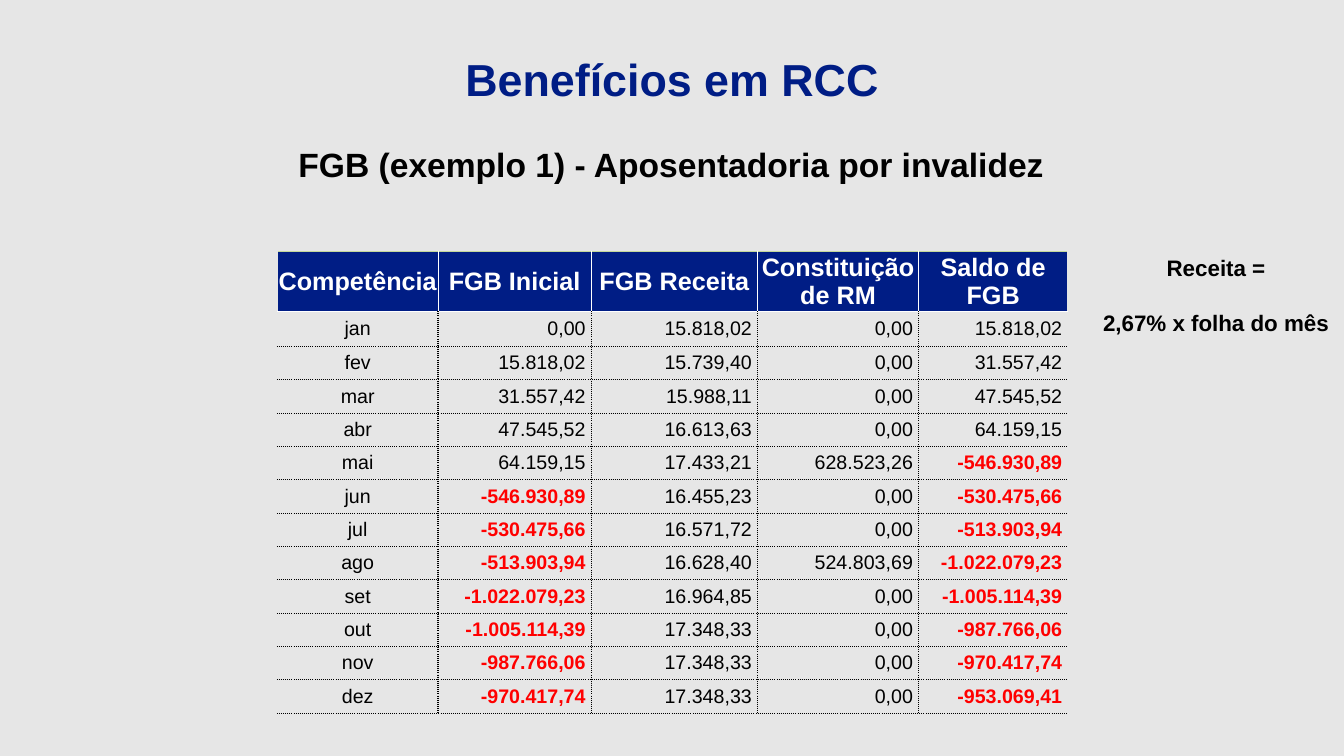
from lxml import etree
from pptx import Presentation
from pptx.dml.color import RGBColor
from pptx.enum.text import MSO_ANCHOR, MSO_AUTO_SIZE, PP_ALIGN
from pptx.oxml.ns import qn
from pptx.util import Cm, Pt

CENTER, RIGHT = PP_ALIGN.CENTER, PP_ALIGN.RIGHT
MIDDLE, TOP = MSO_ANCHOR.MIDDLE, MSO_ANCHOR.TOP
NO_FIT = MSO_AUTO_SIZE.NONE

COLORS = {"background": "E6E6E6", "navy": "001D85", "black": "000000",
          "white": "FFFFFF", "red": "FF0000", "green": "C4D79B"}

TITLE = "Benefícios em RCC"
SUBTITLE = "FGB (exemplo 1) - Aposentadoria por invalidez"
NOTE = ["Receita =", "2,67% x folha do mês"]
HEADER = ["Competência", "FGB Inicial", "FGB Receita", "Constituição de RM", "Saldo de FGB"]
OPENING_BALANCE = "0,00"
MONTHS = [
    ("jan", "15.818,02", "0,00", "15.818,02"),
    ("fev", "15.739,40", "0,00", "31.557,42"),
    ("mar", "15.988,11", "0,00", "47.545,52"),
    ("abr", "16.613,63", "0,00", "64.159,15"),
    ("mai", "17.433,21", "628.523,26", "-546.930,89"),
    ("jun", "16.455,23", "0,00", "-530.475,66"),
    ("jul", "16.571,72", "0,00", "-513.903,94"),
    ("ago", "16.628,40", "524.803,69", "-1.022.079,23"),
    ("set", "16.964,85", "0,00", "-1.005.114,39"),
    ("out", "17.348,33", "0,00", "-987.766,06"),
    ("nov", "17.348,33", "0,00", "-970.417,74"),
    ("dez", "17.348,33", "0,00", "-953.069,41"),
]
COLUMN_WIDTHS = [4.05, 3.86, 4.19, 4.06, 3.76]
HEADER_HEIGHT, FIRST_HEIGHT, ROW_HEIGHT = 1.52, 0.88, 0.84

EDGE = ("background", 1, "solid")
DOTTED = ("black", 1, "sysDot")
WHITE_LINE = ("white", 0.5, "solid")
GREEN_LINE = ("green", 0.5, "solid")


def write(tf, lines, size=14, color="black", bold=False, align=CENTER, gap=0):
    for i, line in enumerate(lines):
        p = tf.paragraphs[0] if i == 0 else tf.add_paragraph()
        p.alignment = align
        p.space_before = Pt(gap if i else 0)
        r = p.add_run()
        r.text = line
        r.font.name = "Arial"
        r.font.size = Pt(size)
        r.font.bold = bold
        r.font.color.rgb = RGBColor.from_string(COLORS[color])


def place(sp, left, top, width, height, anchor=TOP, wrap=True):
    sp.left, sp.top, sp.width, sp.height = Cm(left), Cm(top), Cm(width), Cm(height)
    tf = sp.text_frame
    tf.auto_size = NO_FIT
    tf.word_wrap = wrap
    tf.vertical_anchor = anchor
    return tf


def set_borders(cell, **borders):
    tcPr = cell._tc.get_or_add_tcPr()
    for side in "LRTB":
        color, width, dash = borders[side]
        ln = etree.SubElement(tcPr, qn(f"a:ln{side}"), w=str(Pt(width)))
        fill = etree.SubElement(ln, qn("a:solidFill"))
        etree.SubElement(fill, qn("a:srgbClr"), val=COLORS[color])
        etree.SubElement(ln, qn("a:prstDash"), val=dash)


def fill_table(table, rows):
    last = len(HEADER) - 1
    for i, row in enumerate(rows):
        inner = DOTTED if i else WHITE_LINE
        for j, text in enumerate(row):
            cell = table.cell(i, j)
            cell.margin_left = cell.margin_right = cell.margin_top = cell.margin_bottom = 0
            cell.vertical_anchor = MIDDLE
            set_borders(cell,
                        L=inner if j else EDGE,
                        R=inner if j < last else EDGE,
                        T=(GREEN_LINE, WHITE_LINE)[i] if i < 2 else DOTTED,
                        B=inner)
            if i == 0:
                cell.fill.solid()
                cell.fill.fore_color.rgb = RGBColor.from_string(COLORS["navy"])
                write(cell.text_frame, [text], size=18, color="white", bold=True)
                continue
            cell.fill.background()
            negative = text.startswith("-")
            if j:
                cell.margin_right = Cm(0.14)
            write(cell.text_frame, [text], color="red" if negative else "black",
                  bold=negative, align=RIGHT if j else CENTER)


def main():
    prs = Presentation()
    prs.slide_width, prs.slide_height = Cm(33.87), Cm(19.05)
    s = prs.slides.add_slide(prs.slide_layouts[5])
    s.background.fill.solid()
    s.background.fill.fore_color.rgb = RGBColor.from_string(COLORS["background"])

    tf = place(s.shapes.title, 5.46, 1.17, 22.96, 1.63, anchor=MIDDLE)
    write(tf, [TITLE], size=32, color="navy", bold=True)

    tf = place(s.shapes.add_textbox(0, 0, 0, 0), 5.51, 3.5, 22.81, 1.28)
    write(tf, [SUBTITLE], size=24, bold=True)

    initials = [OPENING_BALANCE] + [month[-1] for month in MONTHS[:-1]]
    rows = [HEADER] + [(m[0], start, *m[1:]) for start, m in zip(initials, MONTHS)]
    heights = [HEADER_HEIGHT, FIRST_HEIGHT] + [ROW_HEIGHT] * (len(rows) - 2)
    table = s.shapes.add_table(len(rows), len(HEADER), Cm(6.99), Cm(6.33),
                               Cm(sum(COLUMN_WIDTHS)), Cm(sum(heights))).table
    table.horz_banding = False
    table.first_row = False
    for column, width in zip(table.columns, COLUMN_WIDTHS):
        column.width = Cm(width)
    for row, height in zip(table.rows, heights):
        row.height = Cm(height)
    fill_table(table, rows)

    tf = place(s.shapes.add_textbox(0, 0, 0, 0), 27.46, 6.27, 6.37, 2.31, wrap=False)
    write(tf, NOTE, size=16, bold=True, gap=20)

    prs.save("out.pptx")


if __name__ == "__main__":
    main()
